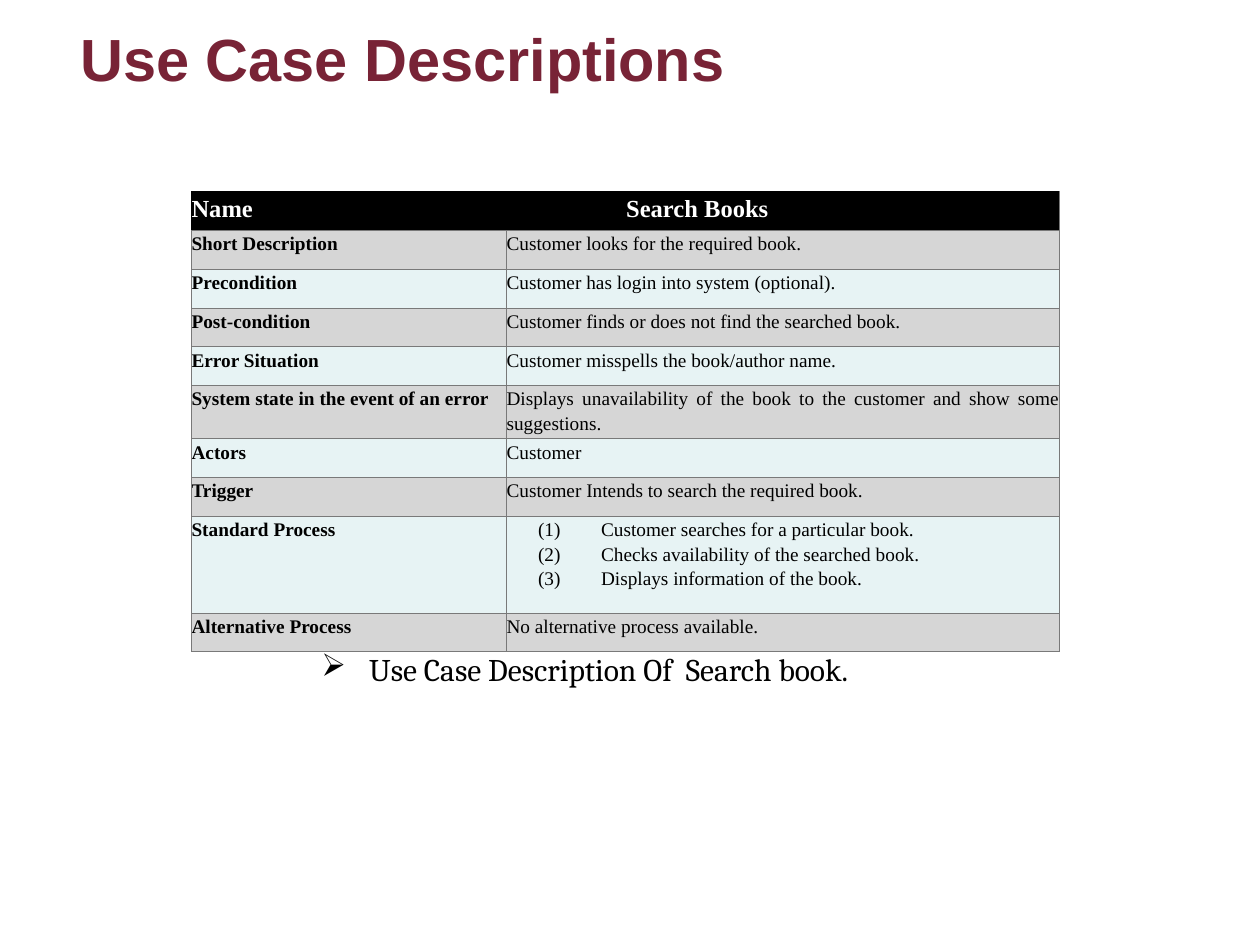
from dataclasses import dataclass

from lxml import etree
from pptx import Presentation
from pptx import util as u
from pptx.dml.color import RGBColor
from pptx.enum import text as t
from pptx.oxml import ns


@dataclass(frozen=True)
class Theme:
    wine: str = "782336"
    black: str = "000000"
    white: str = "FFFFFF"
    gray: str = "D6D6D6"
    mint: str = "E7F3F4"
    rule: str = "797979"
    title: int = 34
    note: int = 18
    head: int = 14
    cell: int = 11


@dataclass(frozen=True)
class Face:
    font: str
    size: int
    color: str
    bold: bool = False


@dataclass(frozen=True)
class Entry:
    label: str
    lines: tuple[str, ...]
    units: float = 1  # height in table row units


T = Theme()
WIDE, HIGH = u.Inches(10), u.Inches(7.5)
UNIT = 0.041  # table row unit, share of the slide height
COLS = (0.25, 0.439)  # column widths, shares of the slide width
SERIF = "Times New Roman"
TITLE = Face("Arial", T.title, T.wine, True)
NOTE = Face("Cambria", T.note, T.black)
HEAD = Face(SERIF, T.head, T.white, True)
LABEL = Face(SERIF, T.cell, T.black, True)
BODY = Face(SERIF, T.cell, T.black)

ROWS = (
    Entry("Short Description", ("Customer looks for the required book.",)),
    Entry("Precondition", ("Customer has login into system (optional).",)),
    Entry("Post-condition", ("Customer finds or does not find the searched book.",)),
    Entry("Error Situation", ("Customer misspells the book/author name.",)),
    Entry("System state in the event of an error",
          ("Displays unavailability of the book to the customer and show some suggestions.",), 1.2),
    Entry("Actors", ("Customer",)),
    Entry("Trigger", ("Customer Intends to search the required book.",)),
    Entry("Standard Process",
          ("Customer searches for a particular book.",
           "Checks availability of the searched book.",
           "Displays information of the book."), 2.5),
    Entry("Alternative Process", ("No alternative process available.",)),
)


def across(share: float) -> int:
    return round(WIDE * share)


def down(share: float) -> int:
    return round(HIGH * share)


def put(para, words: str, face: Face) -> None:
    run = para.add_run()
    run.text = words
    font = run.font
    font.name, font.size, font.bold = face.font, u.Pt(face.size), face.bold
    font.color.rgb = RGBColor.from_string(face.color)


def mark(para, left: float, hang: float, tag: str, **attrs: str) -> None:
    """Give a paragraph a bullet or number with a hanging indent in inches."""
    props = para._p.get_or_add_pPr()
    props.set("marL", str(u.Inches(left)))
    props.set("indent", str(-u.Inches(hang)))
    etree.SubElement(props, ns.qn(tag), attrs)


def box(slide, left: float, top: float, wide: float, high: float):
    """Add a wrapping text box, in shares of the slide, and return its paragraph."""
    frame = slide.shapes.add_textbox(
        across(left), down(top), across(wide), down(high)).text_frame
    frame.word_wrap = True
    frame.margin_left = frame.margin_right = u.Inches(0.05)
    frame.margin_top = frame.margin_bottom = u.Inches(0.05)
    return frame.paragraphs[0]


def style(cell, fill: str, edges: dict[str, str]) -> None:
    cell.margin_left = cell.margin_right = 0
    cell.margin_top = cell.margin_bottom = 0
    props = cell._tc.get_or_add_tcPr()
    for side in "LRTB":
        line = etree.SubElement(props, ns.qn(f"a:ln{side}"), w=str(u.Pt(0.5)))
        solid = etree.SubElement(line, ns.qn("a:solidFill"))
        etree.SubElement(solid, ns.qn("a:srgbClr"), val=edges.get(side, T.rule))
    cell.fill.solid()
    cell.fill.fore_color.rgb = RGBColor.from_string(fill)


def write(cell, lines: tuple[str, ...], face: Face) -> None:
    """Fill a cell, numbering its lines when there are several."""
    frame = cell.text_frame
    for i, words in enumerate(lines):
        para = frame.add_paragraph() if i else frame.paragraphs[0]
        para.alignment = t.PP_ALIGN.JUSTIFY
        para.line_spacing = 1.15
        if len(lines) > 1:
            mark(para, 0.75, 0.5, "a:buAutoNum", type="arabicParenBoth")
        put(para, words, face)


def header(grid) -> None:
    cell = grid.cell(0, 0)
    cell.merge(grid.cell(0, 1))
    for part in (cell, grid.cell(0, 1)):
        style(part, T.black, {"L": T.black, "T": T.black})
    para = cell.text_frame.paragraphs[0]
    para.line_spacing = 1.15
    tabs = etree.SubElement(para._p.get_or_add_pPr(), ns.qn("a:tabLst"))
    etree.SubElement(tabs, ns.qn("a:tab"), pos=str(u.Inches(3.45)), algn="l")
    put(para, "Name\tSearch Books", HEAD)


def table(slide) -> None:
    units = [1] + [row.units for row in ROWS]
    grid = slide.shapes.add_table(
        len(units), len(COLS), across(0.152), down(0.203),
        across(sum(COLS)), down(UNIT * sum(units))).table
    grid.horz_banding = False
    for col, share in zip(grid.columns, COLS):
        col.width = across(share)
    for row, count in zip(grid.rows, units):
        row.height = down(UNIT * count)
    header(grid)
    for i, row in enumerate(ROWS, 1):
        fill = T.gray if i % 2 else T.mint
        for j, (lines, face) in enumerate((((row.label,), LABEL), (row.lines, BODY))):
            cell = grid.cell(i, j)
            style(cell, fill, {})
            write(cell, lines, face)


def main() -> None:
    deck = Presentation()
    deck.slide_width, deck.slide_height = WIDE, HIGH
    slide = deck.slides.add_slide(deck.slide_layouts[6])
    put(box(slide, 0.059, 0.017, 0.85, 0.084), "Use Case Descriptions", TITLE)
    table(slide)
    note = box(slide, 0.25, 0.681, 0.75, 0.228)
    note.alignment = t.PP_ALIGN.JUSTIFY
    mark(note, 0.38, 0.38, "a:buChar", char="➢")
    put(note, "Use Case Description Of  Search book.", NOTE)
    deck.save("out.pptx")


if __name__ == "__main__":
    main()
